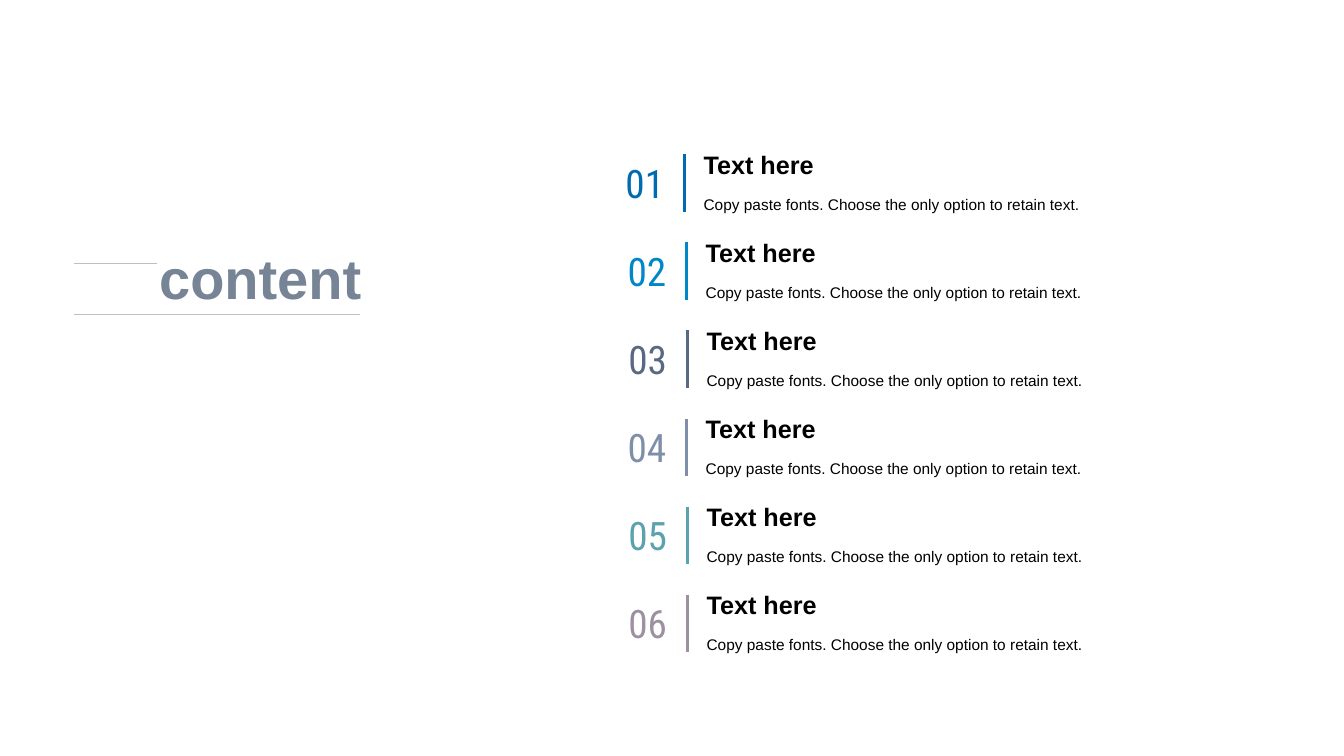
import pptx
import pptx.util
import pptx.dml.color
import pptx.enum.shapes
import pptx.enum.text
import pptx.oxml.ns
import lxml.etree

Inches = pptx.util.Inches
Align = pptx.enum.text.PP_ALIGN
Anchor = pptx.enum.text.MSO_ANCHOR

INK = {
    "rule": "BFBFBF", "title": "778495", "text": "000000",
    "01": "006BB1", "02": "0087C7", "03": "596984",
    "04": "7F8FA9", "05": "5AA2AE", "06": "9D90A0",
}
NUDGE = {"01": 0, "02": 0.02, "03": 0.03, "04": 0.02, "05": 0.03, "06": 0.03}


def rgb(key):
    """Return the named colour."""
    return pptx.dml.color.RGBColor.from_string(INK[key])


def rule(slide, x1, y1, x2, y2, key, width):
    """Draw a straight line without a shadow."""
    line = slide.shapes.add_connector(
        pptx.enum.shapes.MSO_CONNECTOR.STRAIGHT,
        Inches(x1), Inches(y1), Inches(x2), Inches(y2))
    line.line.color.rgb = rgb(key)
    line.line.width = pptx.util.Pt(width)
    lxml.etree.SubElement(line._element.spPr, pptx.oxml.ns.qn("a:effectLst"))


def label(slide, box, text, size, key, font="Arial", bold=False, wrap=False,
          anchor=Anchor.MIDDLE, align=Align.LEFT, space=None, inset=0.1):
    """Place one paragraph of text in a box."""
    frame = slide.shapes.add_textbox(*map(Inches, box)).text_frame
    frame.word_wrap = wrap
    frame.vertical_anchor = anchor
    frame.margin_left = frame.margin_right = Inches(inset)
    frame.text = text
    para = frame.paragraphs[0]
    para.alignment = align
    para.line_spacing = space
    face = para.runs[0].font
    face.name, face.size, face.bold = font, pptx.util.Pt(size), bold
    face.color.rgb = rgb(key)


def heading(slide, left, top, width):
    """Draw the slide title with its two rules."""
    right = left + width
    rule(slide, left + 0.83, top + 0.18, left, top + 0.18, "rule", 0.5)
    rule(slide, left, top + 0.69, right, top + 0.69, "rule", 0.5)
    label(slide, (left + 0.75, top, width - 0.45, 0.72), "content", 40,
          "title", bold=True, space=0.9)


def entry(slide, left, top, num):
    """Draw one numbered entry of the list."""
    shift = NUDGE[num]
    bar = left + 0.65 + shift
    body = bar + 0.09
    label(slide, (left, top + 0.11, 0.51 + 2 * shift, 0.5), num, 28, num,
          font="Roboto Condensed", align=Align.CENTER, inset=0)
    rule(slide, bar, top + 0.08, bar, top + 0.65, num, 2.25)
    label(slide, (body, top + 0.38, 3.95, 0.35),
          "Copy paste fonts. Choose the only option to retain text.", 11,
          "text", wrap=True, anchor=Anchor.TOP, space=1.3)
    label(slide, (body, top, 3.95, 0.38), "Text here", 18, "text",
          bold=True, anchor=Anchor.BOTTOM, space=0.9)


def agenda(slide, left, top, span):
    """Spread the entries evenly from the first top over the span."""
    step = span / (len(NUDGE) - 1)
    for i, num in enumerate(NUDGE):
        entry(slide, left, top + i * step, num)


def main():
    """Build and save the slide."""
    deck = pptx.Presentation()
    deck.slide_width, deck.slide_height = Inches(13.33), Inches(7.5)
    slide = deck.slides.add_slide(deck.slide_layouts[6])
    agenda(slide, 6.14, 1.45, 4.37)
    heading(slide, 0.73, 2.43, 2.84)
    deck.save("out.pptx")


if __name__ == "__main__":
    main()
